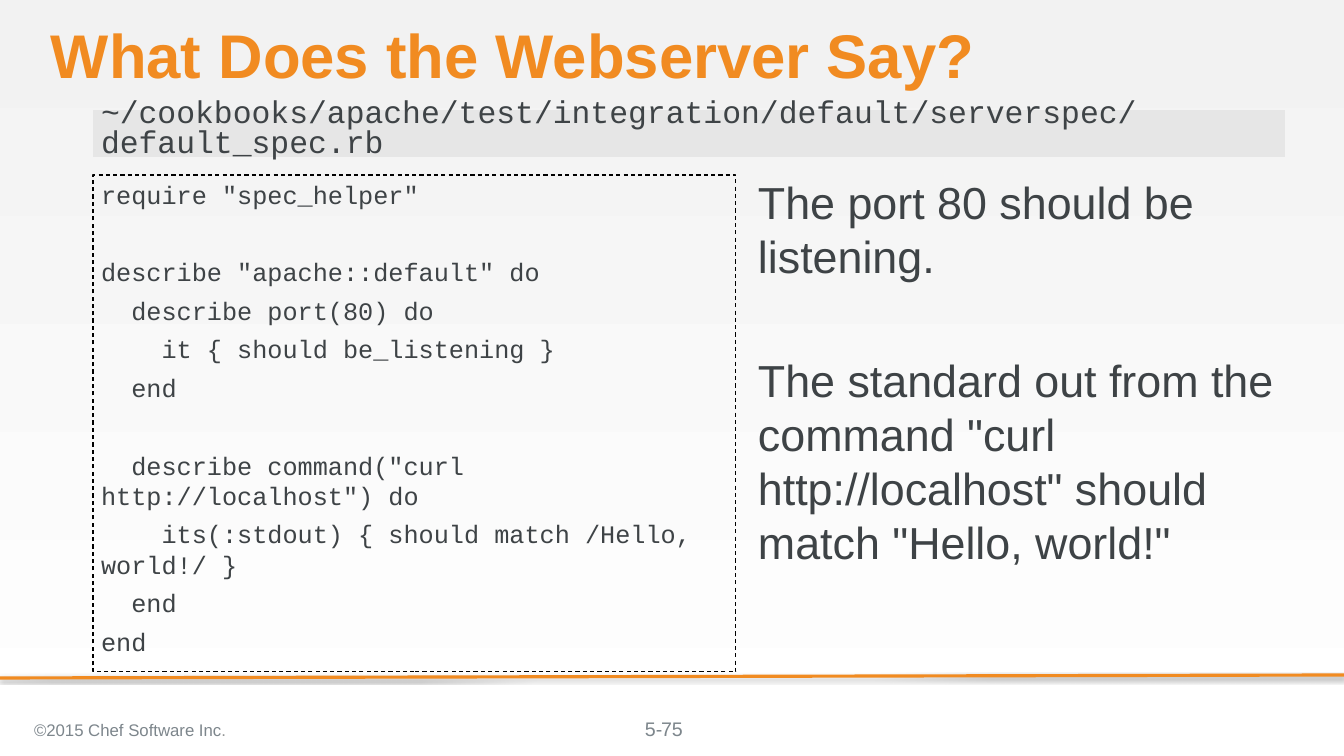
from lxml import etree
from pptx import Presentation
from pptx import util as u
from pptx.dml.color import RGBColor
from pptx.enum import dml, shapes, text
from pptx.oxml.ns import qn

PX = 914400 / 75.6
COLORS = {"orange": "F18B21", "ink": "3E4346", "grey": "7D868C", "dot": "929494",
          "band": "D9D9D9", "black": "000000", "top": "F2F2F2", "bottom": "FFFFFF"}


def px(*lengths):
    return [u.Emu(round(length * PX)) for length in lengths]


def write(shape, paragraphs, size, color, font="Arial", insets=(0, 0, 0, 0),
          anchor=text.MSO_ANCHOR.TOP, align=text.PP_ALIGN.LEFT, spacing=None, bold=False):
    frame = shape.text_frame
    frame.word_wrap = True
    frame.auto_size = text.MSO_AUTO_SIZE.NONE
    frame.vertical_anchor = anchor
    frame.margin_left, frame.margin_top, frame.margin_right, frame.margin_bottom = px(*insets)
    for index, (before, runs) in enumerate(paragraphs):
        paragraph = frame.paragraphs[0] if index == 0 else frame.add_paragraph()
        paragraph.alignment = align
        paragraph.space_before = u.Pt(before)
        if spacing:
            paragraph.line_spacing = spacing
        for words, run_color in runs:
            run = paragraph.add_run()
            run.text = words
            run.font.name = font
            run.font.size = u.Pt(size)
            run.font.bold = bold
            run.font.color.rgb = RGBColor.from_string(COLORS[run_color or color])


prs = Presentation()
prs.slide_width, prs.slide_height = px(1344, 756)
slide = prs.slides.add_slide(prs.slide_layouts[5])

backdrop = slide.background.fill
backdrop.gradient()
backdrop.gradient_angle = 270
for stop, name, position in zip(backdrop.gradient_stops, ("top", "bottom"), (0, 1)):
    stop.color.rgb = RGBColor.from_string(COLORS[name])
    stop.position = position

footer_rule = slide.shapes.add_connector(shapes.MSO_CONNECTOR.STRAIGHT, *px(1344, 675, 0, 678))
footer_rule.line.color.rgb = RGBColor.from_string(COLORS["orange"])
footer_rule.line.width = u.Pt(3)
effects = etree.SubElement(footer_rule._element.spPr, qn("a:effectLst"))
shadow = etree.SubElement(effects, qn("a:outerShdw"), blurRad=str(u.Pt(3.1)),
                          dist=str(u.Pt(1.8)), dir="5400000", rotWithShape="0")
shade = etree.SubElement(shadow, qn("a:srgbClr"), val=COLORS["black"])
etree.SubElement(shade, qn("a:alpha"), val="35000")

title = slide.shapes.title
title.left, title.top, title.width, title.height = px(51, 25, 1235, 69)
write(title, [(0, [("What Does the Webserver Say?", None)])], 58.7, "orange",
      spacing=0.9, bold=True)

code_box = slide.shapes.add_shape(shapes.MSO_SHAPE.RECTANGLE, *px(93, 175, 643, 497))
code_box.shadow.inherit = False
code_box.fill.background()
code_box.line.color.rgb = RGBColor.from_string(COLORS["black"])
code_box.line.width = u.Pt(1)
code_box.line.dash_style = dml.MSO_LINE.DASH
code = [
    (0, 'require "spec_helper"'),
    (45, 'describe "apache::default" do'),
    (8, "  describe port(80) do"),
    (8, "    it { should be_listening }"),
    (8, "  end"),
    (45, '  describe command("curl http://localhost") do'),
    (8, "    its(:stdout) { should match /Hello, world!/ }"),
    (8, "  end"),
    (8, "end"),
]
write(code_box, [(before, [(line, None)]) for before, line in code], 24, "ink",
      font="Courier New", insets=(8, 4, 8, 4))

file_band = slide.shapes.add_shape(shapes.MSO_SHAPE.RECTANGLE, *px(93, 110, 1192, 47))
file_band.shadow.inherit = False
file_band.fill.solid()
file_band.fill.fore_color.rgb = RGBColor.from_string(COLORS["band"])
band_color = file_band._element.spPr.find(qn("a:solidFill"))[0]
etree.SubElement(band_color, qn("a:alpha"), val="50000")
file_band.line.fill.background()
file_name = "~/cookbooks/apache/test/integration/default/serverspec/default_spec.rb"
write(file_band, [(0, [(file_name, None)])], 29.9, "ink", font="Courier New",
      insets=(8, 0, 0, 8), anchor=text.MSO_ANCHOR.MIDDLE, spacing=0.8)

explanation = slide.shapes.add_textbox(*px(758, 175, 528, 520))
write(explanation, [
    (0, [("The port 80 should be listening.", None)]),
    (67, [('The standard out from the command "curl http://localhost" '
           'should match "Hello, world!"', None)]),
], 42.7, "ink")

copyright_line = slide.shapes.add_textbox(*px(26, 709, 469, 42))
write(copyright_line, [(0, [("©2015 Chef Software Inc", None), (".", "dot")])], 16, "grey",
      insets=(8, 4, 8, 4), anchor=text.MSO_ANCHOR.MIDDLE)

chapter = slide.shapes.add_textbox(*px(645, 717, 60, 23))
write(chapter, [(0, [("5-", None)])], 18.7, "grey")

page = slide.shapes.add_textbox(*px(521, 709, 302, 40))
write(page, [(0, [("75", None)])], 18.7, "grey", insets=(8, 4, 8, 4),
      anchor=text.MSO_ANCHOR.MIDDLE, align=text.PP_ALIGN.CENTER)

prs.save("out.pptx")
